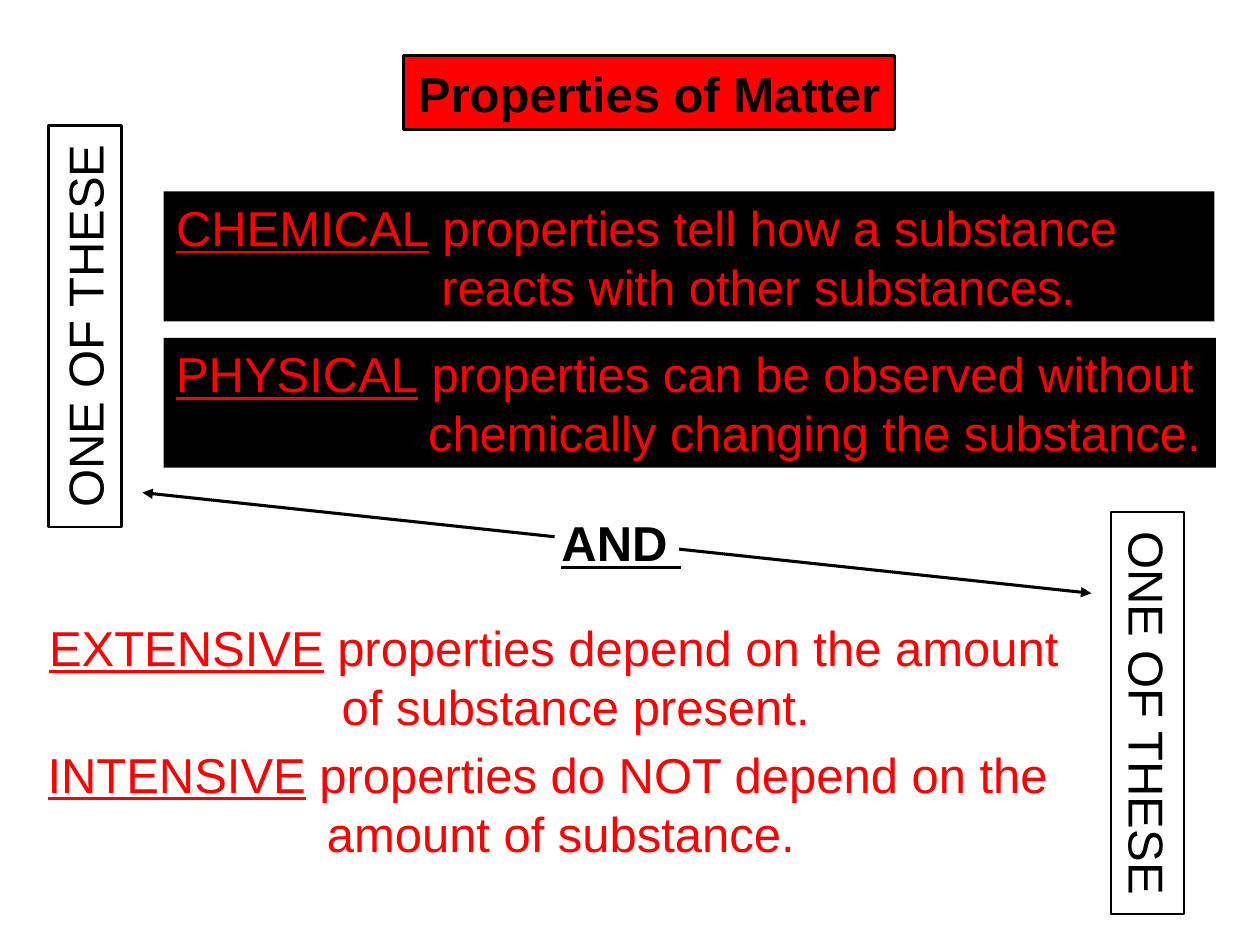
from dataclasses import dataclass

from lxml.etree import SubElement as Sub
from pptx import Presentation
from pptx.dml.color import RGBColor as RGB
from pptx.enum.shapes import MSO_CONNECTOR as Link, MSO_SHAPE as Kind
from pptx.enum.text import MSO_ANCHOR as Anchor, MSO_AUTO_SIZE as Fit, PP_ALIGN as Align
from pptx.oxml.ns import qn
from pptx.util import Cm, Pt


@dataclass(frozen=True)
class Theme:
    black: RGB = RGB(0, 0, 0)
    red: RGB = RGB(255, 0, 0)
    white: RGB = RGB(255, 255, 255)
    font: str = "Arial"
    size: int = 28
    thick: float = 1.75
    thin: float = 1.5


def apply(obj, **vals):
    for name, val in vals.items():
        setattr(obj, name, val)


class Page:
    def __init__(self, slide, theme):
        self.slide, self.theme = slide, theme

    def place(self, shape, box):
        names = ("left", "top", "width", "height")
        apply(shape, **{name: Cm(val) for name, val in zip(names, box)})

    def paint(self, shape, fill, edge=None):
        shape.fill.solid()
        shape.fill.fore_color.rgb = fill
        if edge:
            shape.line.color.rgb = self.theme.black
            shape.line.width = Pt(edge)
        else:
            shape.line.fill.background()

    def frame(self, shape, **vals):
        base = dict(word_wrap=True, auto_size=Fit.NONE, vertical_anchor=Anchor.MIDDLE)
        apply(shape.text_frame, **(base | vals))
        return shape.text_frame

    def say(self, para, text, color, **vals):
        run = para.add_run()
        run.text = text
        apply(run.font, name=self.theme.font, size=Pt(self.theme.size), **vals)
        run.font.color.rgb = color

    def title(self, text, box):
        shape = self.slide.shapes.title
        self.place(shape, box)
        self.paint(shape, self.theme.red, self.theme.thick)
        para = self.frame(shape, word_wrap=False).paragraphs[0]
        para.alignment = Align.CENTER
        self.say(para, text, self.theme.black, bold=True)

    def rule(self, term, first, second, indent, box, fill=None):
        """Add a two-line definition whose second line is indented (cm)."""
        shape = self.slide.shapes.add_textbox(*map(Cm, box))
        if fill is not None:
            self.paint(shape, fill)
        text = self.frame(shape, margin_right=0)
        top, low = text.paragraphs[0], text.add_paragraph()
        self.say(top, term, self.theme.red, underline=True)
        self.say(top, " " + first, self.theme.red)
        low._p.get_or_add_pPr().set("marL", str(Cm(indent)))
        self.say(low, second, self.theme.red)

    def side(self, text, box, turn):
        shape = self.slide.shapes.add_shape(Kind.RECTANGLE, *map(Cm, box))
        shape.shadow.inherit = False
        shape.rotation = turn
        self.paint(shape, self.theme.white, self.theme.thin)
        para = self.frame(shape, vertical_anchor=Anchor.TOP).paragraphs[0]
        para.alignment = Align.CENTER
        self.say(para, text, self.theme.black)

    def label(self, text, box):
        shape = self.slide.shapes.add_textbox(*map(Cm, box))
        para = self.frame(shape, word_wrap=False).paragraphs[0]
        self.say(para, text, self.theme.black, bold=True, underline=True)

    def arrow(self, *ends):
        link = self.slide.shapes.add_connector(Link.STRAIGHT, *map(Cm, ends))
        link.line.color.rgb = self.theme.black
        link.line.width = Pt(self.theme.thick)
        props = link._element.spPr
        Sub(props.find(qn("a:ln")), qn("a:tailEnd"), type="triangle")
        Sub(props, qn("a:effectLst"))


def main():
    deck = Presentation()
    apply(deck, slide_width=Cm(25.4), slide_height=Cm(19.05))
    theme = Theme()
    page = Page(deck.slides.add_slide(deck.slide_layouts[5]), theme)

    page.title("Properties of Matter", (8.13, 1.12, 9.91, 1.5))
    rules = (
        ("CHEMICAL", "properties tell how a substance",
         "reacts with other substances.", 5.35, (3.3, 3.86, 21.18, 2.62), theme.black),
        ("PHYSICAL", "properties can be observed without",
         "chemically changing the substance.", 5.08, (3.3, 6.81, 21.21, 2.62), theme.black),
        ("EXTENSIVE", "properties depend on the amount",
         "of substance present.", 5.9, (0.74, 12.32, 20.9, 2.62)),
        ("INTENSIVE", "properties do NOT depend on the",
         "amount of substance.", 5.63, (0.71, 14.88, 20.73, 2.62)),
    )
    for rule in rules:
        page.rule(*rule)

    for left, top, turn in ((19.08, 13.64, 90), (-2.34, 5.84, 270)):
        page.side("ONE OF THESE", (left, top, 8.1, 1.47), turn)
    page.label("AND ", (11.07, 10.21, 2.92, 1.45))
    page.arrow(11.18, 10.82, 2.87, 9.93)
    page.arrow(13.69, 11.07, 22, 11.96)
    deck.save("out.pptx")


if __name__ == "__main__":
    main()
